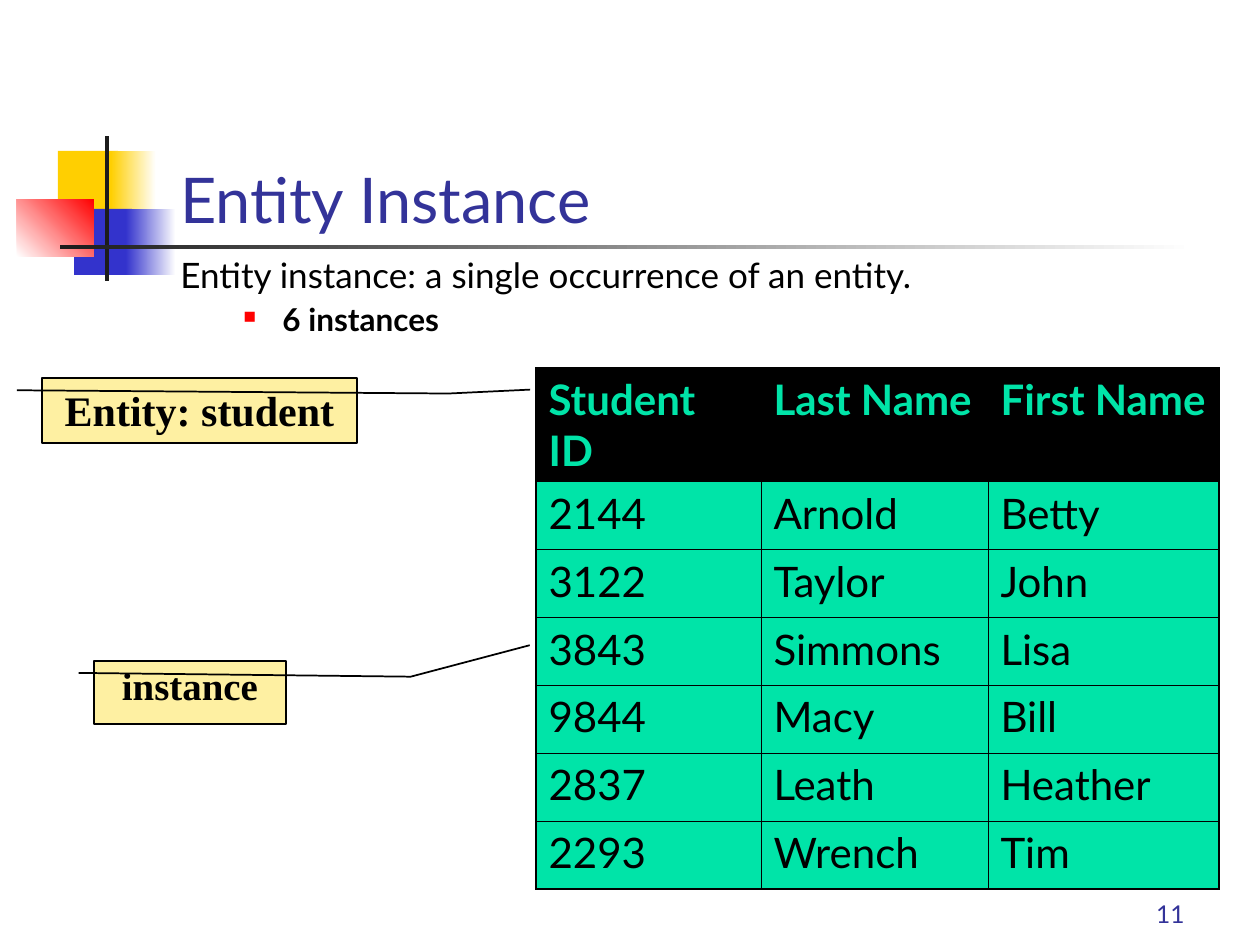
from dataclasses import dataclass
from typing import Optional

from lxml import etree
from pptx import Presentation, util as u
from pptx.dml.color import RGBColor
from pptx.enum import shapes, text
from pptx.oxml.ns import qn

SCALE = 914400 / 126  # EMU per px
HUES = {
    "white": "FFFFFF", "black": "000000", "ink": "1C1C1C", "navy": "333399",
    "gold": "FFCF01", "blue": "3333CC", "red": "FF0000",
    "green": "00E4A8", "cream": "FEF0A2",
}
THIN, THICK = 5715, 13716  # table rules in EMU: 0.45 and 1.08 pt


def px(n: int) -> int:
    return round(n * SCALE)


def rgb(hue: str) -> RGBColor:
    return RGBColor.from_string(HUES[hue])


@dataclass
class Block:
    box: tuple
    hue: str
    end: Optional[str] = None  # second colour of a fade
    angle: int = 0


@dataclass
class Note:
    box: tuple
    words: str
    size: float
    bends: tuple
    gap: float = 1.0


BLOCKS = [
    Block((58, 151, 60, 66), "gold"),
    Block((111, 151, 45, 66), "gold", "white"),
    Block((74, 209, 58, 66), "blue"),
    Block((126, 209, 50, 66), "blue", "white"),
    Block((17, 199, 77, 58), "white", "red", 45),
    Block((105, 136, 4, 145), "ink"),
    Block((60, 245, 1134, 4), "ink", "white"),
]

NOTES = [
    Note((42, 378, 315, 65), "Entity: student", 24,
         (0.19, -0.08, 0.24, 1.29, 0.18, 1.55)),
    Note((94, 661, 192, 63), "instance", 22.2,
         (0.19, -0.08, 0.25, 1.65, -0.25, 2.27), 0.9),
]

COLS = (225, 227, 231)
ROWS = [
    ("Student ID", "Last Name", "First Name"),
    ("2144", "Arnold", "Betty"),
    ("3122", "Taylor", "John"),
    ("3843", "Simmons", "Lisa"),
    ("9844", "Macy", "Bill"),
    ("2837", "Leath", "Heather"),
    ("2293", "Wrench", "Tim"),
]


def write(para, words: str, *, size: float, hue: str = "black",
          font: str = "Lato", bold: bool = False, align: str = "LEFT",
          gap: float = 1.0, before: float = 0) -> None:
    para.alignment = getattr(text.PP_ALIGN, align)
    para.line_spacing = gap
    para.space_before = u.Pt(before)
    run = para.add_run()
    run.text = words
    run.font.size, run.font.bold, run.font.name = u.Pt(size), bold, font
    run.font.color.rgb = rgb(hue)


def frame(slide, box: tuple, anchor: str = "TOP"):
    body = slide.shapes.add_textbox(*map(px, box)).text_frame
    body.word_wrap = True
    body.vertical_anchor = getattr(text.MSO_ANCHOR, anchor)
    return body


def indent(para, left: int, first: int) -> None:
    props = para._p.get_or_add_pPr()
    props.set("marL", str(px(left)))
    props.set("indent", str(px(first)))


def bullet(para, char: str, hue: str, size: int) -> None:
    props = para._p.get_or_add_pPr()
    tint = etree.SubElement(props, qn("a:buClr"))
    etree.SubElement(tint, qn("a:srgbClr"), val=HUES[hue])
    etree.SubElement(props, qn("a:buSzPct"), val=str(size * 1000))
    etree.SubElement(props, qn("a:buChar"), char=char)


def paint(slide, block: Block) -> None:
    shape = slide.shapes.add_shape(
        shapes.MSO_SHAPE.RECTANGLE, *map(px, block.box))
    shape.shadow.inherit = False
    shape.line.fill.background()
    if block.end is None:
        shape.fill.solid()
        shape.fill.fore_color.rgb = rgb(block.hue)
        return
    shape.fill.gradient()
    shape.fill.gradient_angle = block.angle
    for stop, hue in zip(shape.fill.gradient_stops, (block.hue, block.end)):
        stop.color.rgb = rgb(hue)


def call(slide, note: Note) -> None:
    shape = slide.shapes.add_shape(
        shapes.MSO_SHAPE.LINE_CALLOUT_2, *map(px, note.box))
    shape.shadow.inherit = False
    for i, bend in enumerate(note.bends):
        shape.adjustments[i] = bend
    shape.fill.solid()
    shape.fill.fore_color.rgb = rgb("cream")
    shape.line.color.rgb = rgb("black")
    shape.line.width = u.Pt(1)
    body = shape.text_frame
    body.word_wrap = True
    body.vertical_anchor = text.MSO_ANCHOR.TOP
    write(body.paragraphs[0], note.words, size=note.size, bold=True,
          font="Times New Roman", align="CENTER", gap=note.gap)


def edge(cell, outer: dict) -> None:
    props = cell._tc.get_or_add_tcPr()
    for side, thick in outer.items():
        line = etree.SubElement(props, qn(f"a:ln{side}"),
                                w=str(THICK if thick else THIN))
        fill = etree.SubElement(line, qn("a:solidFill"))
        etree.SubElement(fill, qn("a:srgbClr"), val=HUES["black"])


def grid(slide, left: int, top: int, head: int, step: int) -> None:
    last, end = len(ROWS) - 1, len(COLS) - 1
    table = slide.shapes.add_table(
        len(ROWS), len(COLS), px(left), px(top),
        px(sum(COLS)), px(head + step * last)).table
    table.horz_banding = False
    for col, width in zip(table.columns, COLS):
        col.width = px(width)
    for r, row in enumerate(ROWS):
        table.rows[r].height = px(step if r else head)
        for c, words in enumerate(row):
            cell = table.cell(r, c)
            edge(cell, {"L": c == 0, "R": c == end,
                        "T": r == 0, "B": r == last})
            cell.fill.solid()
            cell.fill.fore_color.rgb = rgb("green" if r else "black")
            write(cell.text_frame.paragraphs[0], words, size=24, before=6,
                  hue="black" if r else "green", bold=r == 0)


def main() -> None:
    deck = Presentation()
    deck.slide_width, deck.slide_height = px(1260), px(945)
    slide = deck.slides.add_slide(deck.slide_layouts[6])

    # Corner blocks and rules
    for block in BLOCKS:
        paint(slide, block)

    # Page number and title
    page = frame(slide, (935, 872, 262, 63), "BOTTOM")
    write(page.paragraphs[0], "11", size=14, hue="navy", align="RIGHT")
    title = frame(slide, (168, 126, 498, 116), "BOTTOM")
    write(title.paragraphs[0], "Entity Instance", size=36, hue="navy")

    # Definition
    body = frame(slide, (168, 252, 1092, 94))
    lead = body.paragraphs[0]
    write(lead, "Entity instance: a single occurrence of an entity.",
          size=20, gap=0.9, before=5)
    indent(lead, 48, -48)
    item = body.add_paragraph()
    item.level = 1
    write(item, "6 instances", size=18, bold=True, gap=0.9, before=4.5)
    indent(item, 102, -39)
    bullet(item, "■", "red", 55)

    # Student table and its callouts
    grid(slide, 536, 368, 113, 68)
    for note in NOTES:
        call(slide, note)

    deck.save("out.pptx")


if __name__ == "__main__":
    main()
